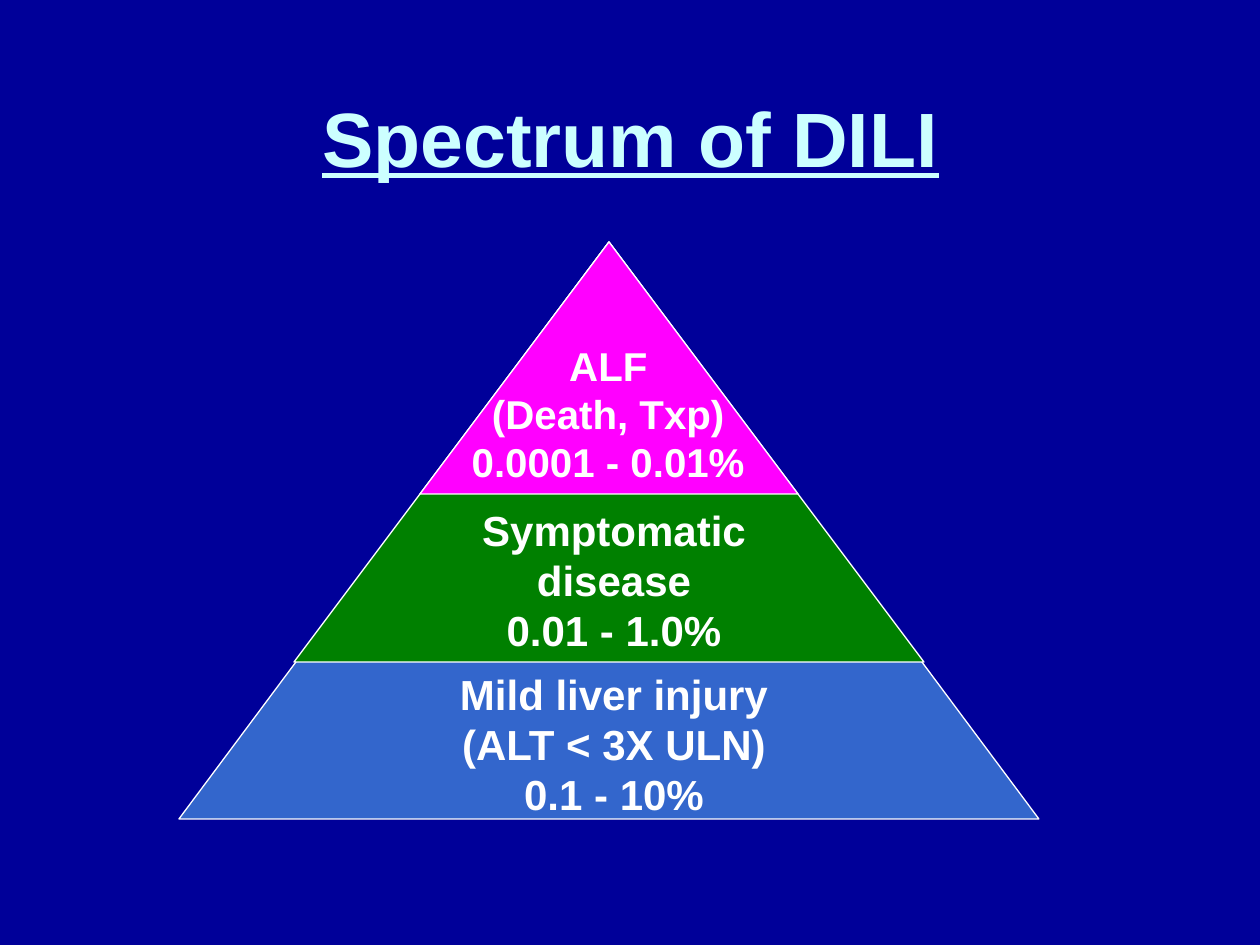
from pptx import Presentation
from pptx.dml.color import RGBColor
from pptx.enum.shapes import MSO_SHAPE
from pptx.enum.text import MSO_ANCHOR, PP_ALIGN
from pptx.util import Emu, Pt

PX = 914400 // 126  # EMU per px
WHITE = "FFFFFF"

# Fill, triangle width and height, label, size, label box relative to the apex
TIERS = [
    ("3366CC", 860, 577, "Mild liver injury\v(ALT < 3X ULN)\v0.1 - 10%", 24, (-263, 420, 536, 164)),
    ("008000", 630, 420, "Symptomatic disease\v0.01 - 1.0%", 24, (-189, 256, 388, 164)),
    ("FF00FF", 378, 252, "ALF\v(Death, Txp)\v0.0001 - 0.01%", 23, (-221, 93, 441, 158)),
]


def px(*lengths):
    return [Emu(length * PX) for length in lengths]


def color(hex_value):
    return RGBColor.from_string(hex_value)


def write_text(frame, text, size, hex_value, anchor, **extra):
    frame.word_wrap = True
    frame.vertical_anchor = anchor
    frame.text = text
    paragraph = frame.paragraphs[0]
    paragraph.alignment = PP_ALIGN.CENTER
    font_format = {"name": "Arial", "size": Pt(size), "bold": True, **extra}
    for run in paragraph.runs:
        for attribute, value in font_format.items():
            setattr(run.font, attribute, value)
        run.font.color.rgb = color(hex_value)


def add_title(slide, box):
    title = slide.shapes.title
    title.left, title.top, title.width, title.height = px(*box)
    write_text(title.text_frame, "Spectrum of DILI", 44, "CCFFFF",
               MSO_ANCHOR.MIDDLE, underline=True)


def add_pyramid(slide, box):
    left, top, width, _ = box
    apex = left + width // 2
    pyramid = slide.shapes.add_group_shape()

    # Nested triangles share one apex, the largest at the back
    for fill, tier_width, tier_height, *_ in TIERS:
        tier = pyramid.shapes.add_shape(
            MSO_SHAPE.ISOSCELES_TRIANGLE,
            *px(apex - tier_width // 2, top, tier_width, tier_height))
        tier.shadow.inherit = False
        tier.fill.solid()
        tier.fill.fore_color.rgb = color(fill)
        tier.line.color.rgb = color(WHITE)
        tier.line.width = Pt(0.75)

    # Labels lie above all the triangles, from the tip down
    for *_, text, size, (dx, dy, label_width, label_height) in reversed(TIERS):
        label = pyramid.shapes.add_textbox(
            *px(apex + dx, top + dy, label_width, label_height))
        write_text(label.text_frame, text, size, WHITE, MSO_ANCHOR.TOP)


def main():
    presentation = Presentation()
    presentation.slide_width, presentation.slide_height = px(1260, 945)
    slide = presentation.slides.add_slide(presentation.slide_layouts[5])
    slide.background.fill.solid()
    slide.background.fill.fore_color.rgb = color("000099")
    add_title(slide, (95, 63, 1071, 147))
    add_pyramid(slide, (179, 242, 860, 577))
    presentation.save("out.pptx")


if __name__ == "__main__":
    main()
